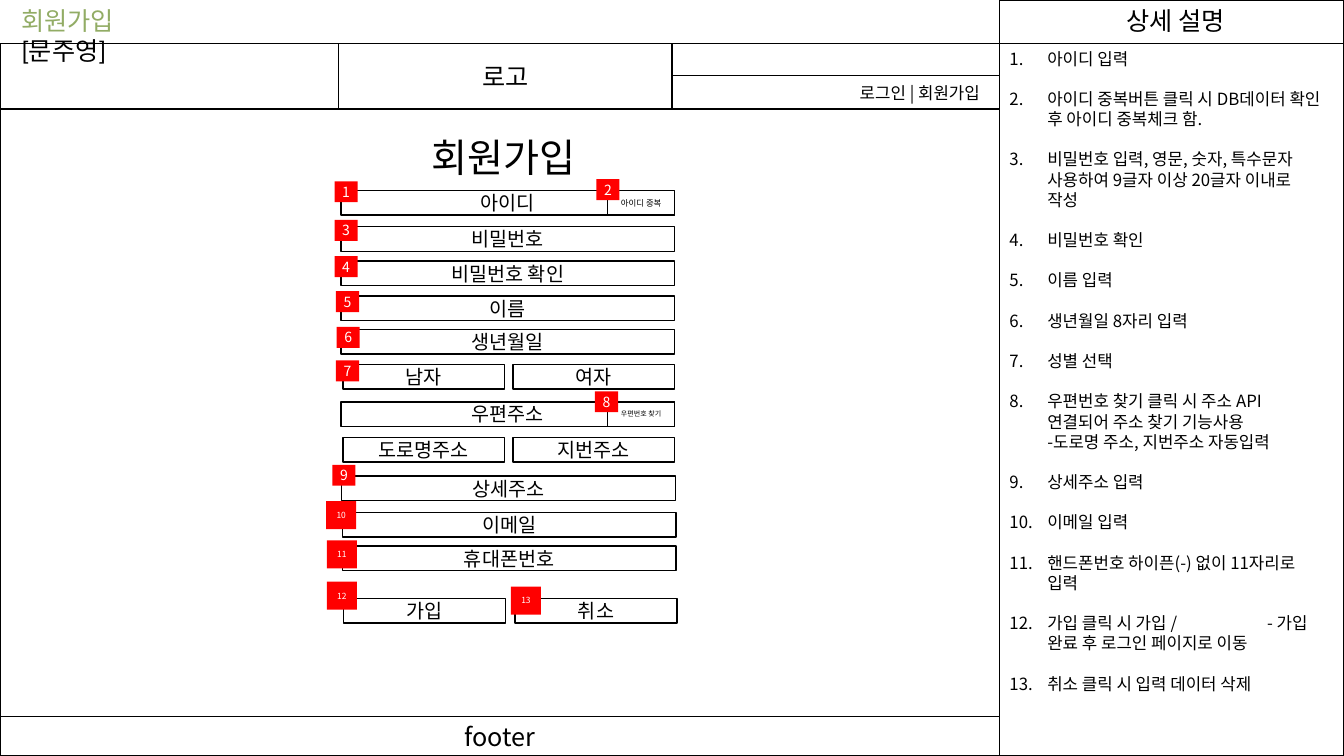
from lxml.etree import SubElement
from pptx import Presentation
from pptx.dml.color import RGBColor
from pptx.enum.shapes import MSO_SHAPE
from pptx.enum.text import MSO_ANCHOR, PP_ALIGN
from pptx.oxml.ns import qn
from pptx.util import Pt

FONT = "Noto Sans CJK KR"


def style_run(run, size, color="000000", latin=FONT):
    run.font.size = Pt(size)
    run.font.color.rgb = RGBColor.from_string(color)
    run.font.name = latin
    SubElement(run._r.get_or_add_rPr(), qn("a:ea"), typeface=FONT)


def add_box(left, top, width, height, text="", size=14, fill="FFFFFF",
            line="000000", color="000000"):
    box = slide.shapes.add_shape(MSO_SHAPE.RECTANGLE, Pt(left), Pt(top), Pt(width), Pt(height))
    box.shadow.inherit = False
    box.fill.solid()
    box.fill.fore_color.rgb = RGBColor.from_string(fill)
    if line:
        box.line.color.rgb = RGBColor.from_string(line)
        box.line.width = Pt(1)
    else:
        box.line.fill.background()
    if text:
        frame = box.text_frame
        frame.margin_left = frame.margin_right = frame.margin_top = frame.margin_bottom = 0
        frame.vertical_anchor = MSO_ANCHOR.MIDDLE
        frame.text = text
        frame.paragraphs[0].alignment = PP_ALIGN.CENTER
        style_run(frame.paragraphs[0].runs[0], size, color)
    return box


presentation = Presentation()
presentation.slide_width = Pt(960)
presentation.slide_height = Pt(540)
slide = presentation.slides.add_slide(presentation.slide_layouts[5])

# Page frame: description panel, header, footer and content area
add_box(714, 31, 246, 509)
add_box(714, 0, 246, 31)
add_box(0, 31, 714, 47)
add_box(242, 31, 238, 47, "로고", 18)
login_bar = add_box(480, 54, 234, 24, "로그인 | 회원가입", 12)
login_bar.text_frame.margin_right = Pt(14)
login_bar.text_frame.paragraphs[0].alignment = PP_ALIGN.RIGHT
add_box(0, 512, 714, 28, "footer", 18)
add_box(0, 78, 714, 434)

# Headings of the panel and the form
for left, top, width, height, text, size in [
    (792.5, 0, 94, 29, "상세 설명", 18),
    (296, 91.5, 127.5, 41, "회원가입", 28),
]:
    heading = slide.shapes.add_textbox(Pt(left), Pt(top), Pt(width), Pt(height)).text_frame
    heading.word_wrap = False
    heading.vertical_anchor = MSO_ANCHOR.MIDDLE
    heading.text = text
    heading.paragraphs[0].alignment = PP_ALIGN.CENTER
    style_run(heading.paragraphs[0].runs[0], size)

# Slide title, in front of the header
title = slide.shapes.title
title.element.getparent().append(title.element)
title.left, title.top, title.width, title.height = Pt(8), Pt(0), Pt(148), Pt(29)
title_frame = title.text_frame
title_frame.word_wrap = False
title_frame.vertical_anchor = MSO_ANCHOR.TOP
title_frame.text = "회원가입\v[문주영]"
title_paragraph = title_frame.paragraphs[0]
title_paragraph.alignment = PP_ALIGN.LEFT
title_paragraph.line_spacing = Pt(21.6)
style_run(title_paragraph.runs[0], 18, "92AC65")
style_run(title_paragraph.runs[1], 18, latin="Lato")

# Numbered descriptions
descriptions = [
    "아이디 입력",
    "아이디 중복버튼 클릭 시 DB데이터 확인 후 아이디 중복체크 함.",
    "비밀번호 입력, 영문, 숫자, 특수문자 사용하여 9글자 이상 20글자 이내로 작성",
    "비밀번호 확인",
    "이름 입력",
    "생년월일 8자리 입력",
    "성별 선택",
    "우편번호 찾기 클릭 시 주소 API 연결되어 주소 찾기 기능사용\v-도로명 주소, 지번주소 자동입력",
    "상세주소 입력",
    "이메일 입력",
    "핸드폰번호 하이픈(-) 없이 11자리로 입력",
    "가입 클릭 시 가입 /\t- 가입 완료 후 로그인 페이지로 이동",
    "취소 클릭 시 입력 데이터 삭제",
]
description_frame = slide.shapes.add_textbox(Pt(714), Pt(31), Pt(246), Pt(472)).text_frame
description_frame.word_wrap = True
description_frame.margin_right = Pt(15)
for index, description in enumerate(descriptions):
    paragraph = description_frame.paragraphs[0] if index == 0 else description_frame.add_paragraph()
    paragraph.text = description
    paragraph.line_spacing = Pt(14.4)
    if index:
        paragraph.space_before = Pt(14.4)
    properties = paragraph._p.get_or_add_pPr()
    properties.set("marL", str(Pt(27)))
    properties.set("indent", str(-Pt(27)))
    SubElement(properties, qn("a:buFont"), typeface="+mj-lt")
    SubElement(properties, qn("a:buAutoNum"), type="arabicPeriod")
    if "\t" in description:
        tabs = SubElement(properties, qn("a:tabLst"))
        SubElement(tabs, qn("a:tab"), pos=str(Pt(184)), algn="l")
    for run in paragraph.runs:
        style_run(run, 12)

# Full-width form fields
for left, top, label in [
    (243.5, 136, "아이디"), (243.5, 162, "비밀번호"), (243.5, 186.5, "비밀번호 확인"),
    (243.5, 211.5, "이름"), (243.5, 235.5, "생년월일"), (243.5, 287, "우편주소"),
    (244, 340, "상세주소"), (244.5, 366, "이메일"), (244.5, 390, "휴대폰번호"),
]:
    add_box(left, top, 238.5, 17.5, label)

# Paired fields and buttons
for left, right, top, labels in [
    (245, 366.5, 260.5, ("남자", "여자")),
    (245, 366.5, 312.5, ("도로명주소", "지번주소")),
    (245.5, 368, 427.5, ("가입", "취소")),
]:
    for position, label in zip((left, right), labels):
        add_box(position, top, 115.5, 17.5, label)

# Small buttons inside the fields
add_box(434, 136, 48, 17.5, "아이디 중복", 6)
add_box(434, 287, 48, 17.5, "우편번호 찾기", 5)

# Red number badges, larger from 10 on
badge_positions = [
    (239, 129.5), (426, 128), (239, 157), (239, 183), (240, 208), (240.5, 233.5), (240, 257.5),
    (425, 279.5), (237.5, 332), (233, 358), (233.5, 386), (233.5, 415.5), (365, 419),
]
for number, (left, top) in enumerate(badge_positions, start=1):
    width, height, size = (16.5, 15, 10) if number < 10 else (21.5, 20, 6)
    add_box(left, top, width, height, str(number), size, "FF0000", None, "FFFFFF")

presentation.save("out.pptx")
